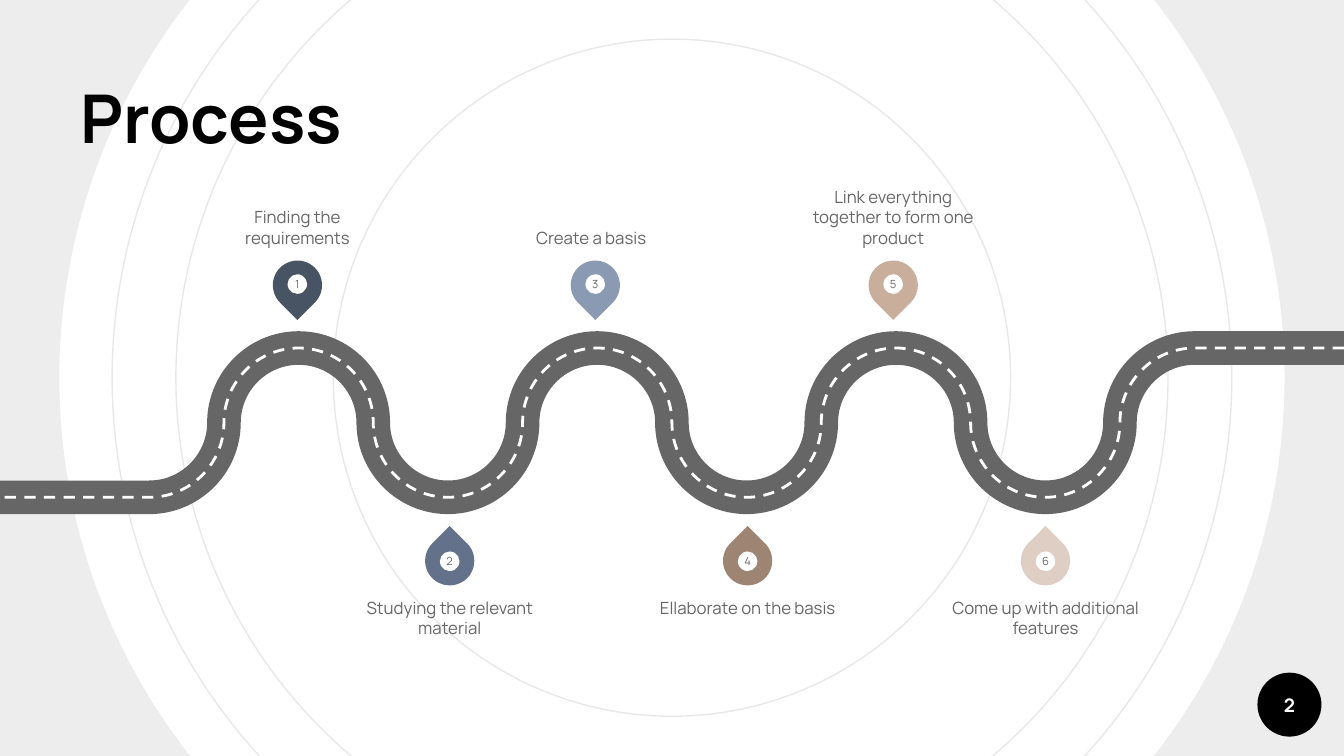
import pptx
import pptx.util
import pptx.dml.color
import pptx.enum.dml
import pptx.enum.shapes
import pptx.enum.text
from lxml import etree
from pptx.util import Cm

KIND = pptx.enum.shapes.MSO_SHAPE
ANCHOR = pptx.enum.text.MSO_ANCHOR
ALIGN = pptx.enum.text.PP_ALIGN
FONT, GREY, WHITE, BLACK = "Manrope", "666666", "FFFFFF", "000000"
WIDTH, MID = 25.4, 7.99
RADIUS = WIDTH / 18
STEPS = [
    ("Finding the requirements", "485364", 0),
    ("Studying the relevant material", "63728A", 0),
    ("Create a basis", "8B9AB3", -0.08),
    ("Ellaborate on the basis", "9E8473", 0),
    ("Link everything together to form one product", "CAAE9C", 0),
    ("Come up with additional features", "DFCEC3", 0),
]


def color(code):
    """Turn a hex string into a colour."""
    return pptx.dml.color.RGBColor.from_string(code)


def apply(item, values):
    """Set each attribute named in a dict."""
    for name, value in values.items():
        setattr(item, name, value)


def write(shape, text, size, hue=GREY, bold=False, anchor=ANCHOR.MIDDLE,
          align=ALIGN.CENTER, inset=0):
    """Put one formatted paragraph into a shape."""
    frame = shape.text_frame
    frame.text = text
    apply(frame, {
        "word_wrap": True, "vertical_anchor": anchor,
        "auto_size": pptx.enum.text.MSO_AUTO_SIZE.NONE,
        "margin_left": Cm(inset), "margin_right": Cm(inset),
        "margin_top": Cm(inset), "margin_bottom": Cm(inset),
    })
    para = frame.paragraphs[0]
    para.alignment = align
    font = para.runs[0].font
    apply(font, {"name": FONT, "size": pptx.util.Pt(size), "bold": bold})
    font.color.rgb = color(hue)


def stroke(shape, hue, width):
    """Give a shape a line and no fill."""
    shape.shadow.inherit = False
    shape.fill.background()
    shape.line.color.rgb = color(hue)
    shape.line.width = pptx.util.Pt(width)


def disc(shapes, kind, x, y, size, hue):
    """Add a filled shape around a centre."""
    shape = shapes.add_shape(kind, Cm(x - size / 2), Cm(y - size / 2), Cm(size), Cm(size))
    shape.shadow.inherit = False
    shape.fill.solid()
    shape.fill.fore_color.rgb = color(hue)
    shape.line.fill.background()
    return shape


def rings(shapes):
    """Add the background circles and the faint outer band."""
    for size in (21.16, 18.75, 12.8):
        stroke(disc(shapes, KIND.OVAL, 12.7, 7.14, size, WHITE), "E8E8E8", 0.75)
    band = disc(shapes, KIND.DONUT, 12.7, 7.14, 29.31, BLACK)
    band.adjustments[0] = 0.105
    fill = band.fill._xPr.find(".//" + pptx.oxml.ns.qn("a:srgbClr"))
    etree.SubElement(fill, pptx.oxml.ns.qn("a:alpha"), val="7000")


def route():
    """List the ends and handles of the quarter turns, right to left."""
    grip = 0.55 * RADIUS
    x, y, side = WIDTH - 2 * RADIUS, MID - RADIUS, -1
    points = [(WIDTH, y), (x, y)]
    for turn in range(14):
        left = x - RADIUS
        if turn % 2:
            side = -side
            y = MID + side * RADIUS
            points += [(x, MID + side * grip), (left + grip, y), (left, y)]
        else:
            points += [(x - grip, y), (left, MID + side * grip), (left, MID)]
        x = left
    points.append((0, y))
    return [(Cm(a), Cm(b)) for a, b in points]


def bend(shape):
    """Join the inner points by threes into curves."""
    tag = pptx.oxml.ns.qn
    lines = list(shape._element.iter(tag("a:lnTo")))[1:-1]
    for first, *rest in zip(lines[::3], lines[1::3], lines[2::3]):
        curve = etree.Element(tag("a:cubicBezTo"))
        first.addprevious(curve)
        for line in (first, *rest):
            curve.append(line[0])
            line.getparent().remove(line)


def road(shapes, hue, width):
    """Draw one line along the route."""
    points = route()
    build = shapes.build_freeform(*points[0])
    build.add_line_segments(points[1:], close=False)
    shape = build.convert_to_shape()
    bend(shape)
    stroke(shape, hue, width)
    return shape


def center(index):
    """Find the horizontal centre of a step."""
    return 5.62 + index // 2 * 5.63 + index % 2 * 2.88


def pin(shapes, index, hue):
    """Add a numbered pin that points at the road."""
    low = index % 2
    x = center(index)
    group = shapes.add_group_shape().shapes
    drop = disc(group, KIND.TEAR, x, 10.6 if low else 5.39, 0.93, hue)
    drop.rotation = 315 if low else 135
    dot = disc(group, KIND.OVAL, x, 10.61 if low else 5.37, 0.37, WHITE)
    write(dot, str(index + 1), 6)


def label(shapes, index, text, shift):
    """Add the caption of a step above or below its pin."""
    low = index % 2
    left = center(index) - 1.79 + shift
    box = shapes.add_textbox(Cm(left), Cm(11.29 if low else 3.21), Cm(3.58), Cm(1.47))
    write(box, text, 9, anchor=ANCHOR.TOP if low else ANCHOR.BOTTOM)


def badge(shapes, text):
    """Add the page number on its disc."""
    dot = disc(shapes, KIND.OVAL, 24.37, 13.32, 1.21, BLACK)
    box = shapes.add_textbox(dot.left, dot.top, dot.width, dot.height)
    write(box, text, 10, WHITE, True, inset=0.25)


def head(slide, text):
    """Place the title in front of the rings."""
    title = slide.shapes.title
    apply(title, {"left": Cm(1.27), "top": Cm(1.32), "width": Cm(14.5), "height": Cm(1.9)})
    write(title, text, 36, BLACK, True, ANCHOR.BOTTOM, ALIGN.LEFT, 0.25)
    slide.shapes._spTree.append(title._element)


def main():
    """Build the slide and save it."""
    deck = pptx.Presentation()
    apply(deck, {"slide_width": Cm(WIDTH), "slide_height": Cm(14.29)})
    slide = deck.slides.add_slide(deck.slide_layouts[5])
    shapes = slide.shapes
    rings(shapes)
    head(slide, "Process")
    badge(shapes, "2")
    road(shapes, GREY, 18)
    road(shapes, WHITE, 1.5).line.dash_style = pptx.enum.dml.MSO_LINE.DASH
    for index, (text, hue, shift) in enumerate(STEPS):
        pin(shapes, index, hue)
        label(shapes, index, text, shift)
    deck.save("out.pptx")


if __name__ == "__main__":
    main()
